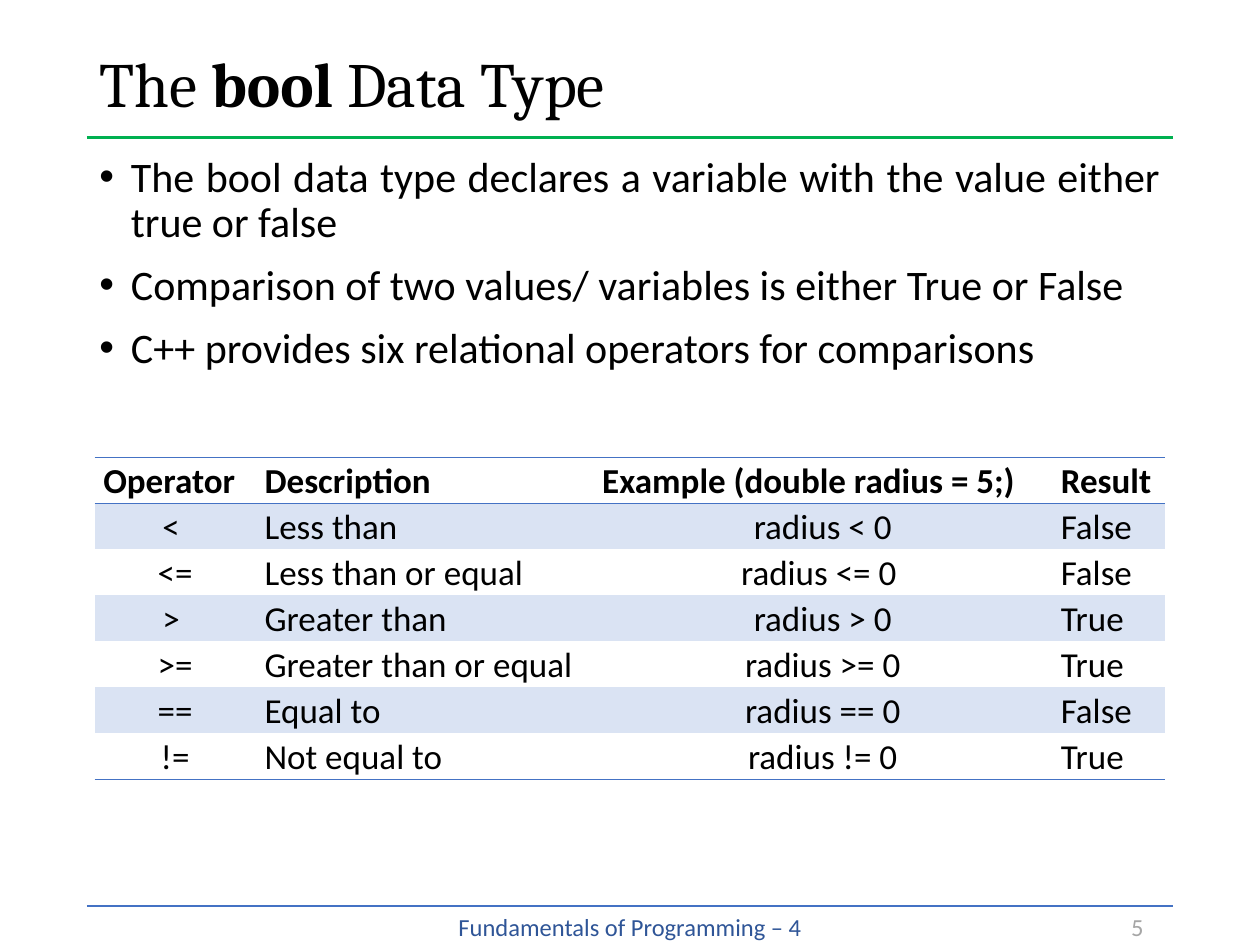
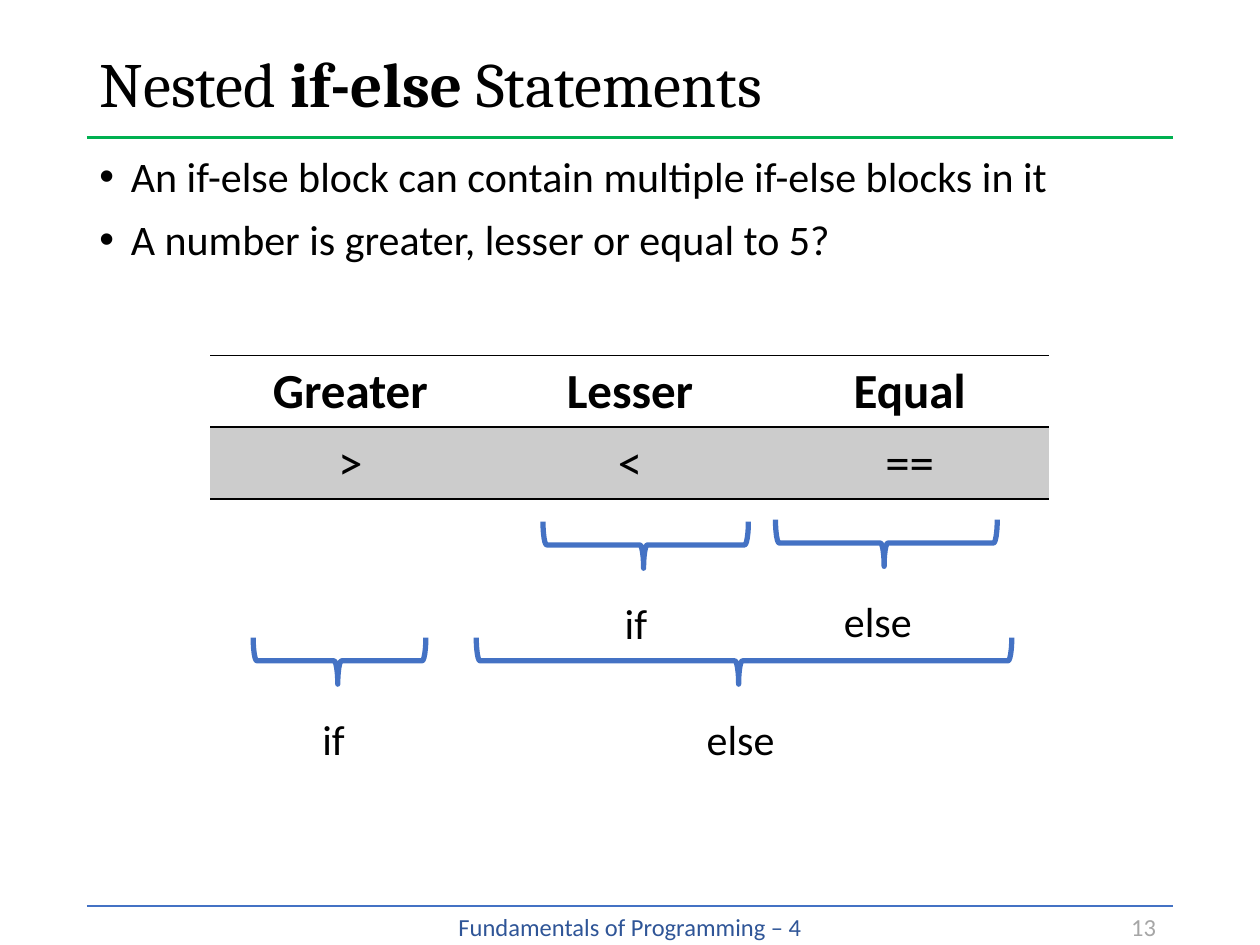
from lxml import etree
from pptx import Presentation
from pptx.dml.color import RGBColor
from pptx.enum.shapes import MSO_CONNECTOR as Connector, MSO_SHAPE as Shape
from pptx.enum.text import MSO_ANCHOR as Anchor, PP_ALIGN as Align
from pptx.oxml import parse_xml
from pptx.oxml.ns import nsdecls, qn
from pptx.util import Inches, Pt

BLUE, GREEN, BLACK = "4472C4", "00B050", "000000"
PALE_BLUE, PALE_GREY = "DAE3F3", "CCCCCC"
LEFT, RIGHT, WIDTH = 0.69, 9.31, 8.62
FOOTER_TOP = 7.19
NO_STYLE = "{2D5ABB26-0587-4C30-8999-92F81FD0307C}"

TITLE = {"name": "Cambria", "size": Pt(36), "bold": False}
BODY = {"name": "Calibri", "size": Pt(24), "bold": False}
FOOTER = {"name": "Calibri", "size": Pt(14), "bold": False}

color = RGBColor.from_string


def add_run(paragraph, text, formats, hex_color=BLACK, **changes):
    run = paragraph.add_run()
    run.text = text
    for name, value in {**formats, **changes}.items():
        setattr(run.font, name, value)
    run.font.color.rgb = color(hex_color)


def add_text_frame(slide, left, top, width, height, wrap=True):
    box = slide.shapes.add_textbox(Inches(left), Inches(top), Inches(width), Inches(height))
    box.text_frame.word_wrap = wrap
    return box.text_frame


pages = [
    {
        "number": "5",
        "title": ["The ", "bool ", "Data Type"],
        "bullets": [
            "The bool data type declares a variable with the value either true or false",
            "Comparison of two values/ variables is either True or False",
            "C++ provides six relational operators for comparisons",
        ],
        "table": {
            "left": 0.75, "top": 3.63, "columns": [1.28, 2.68, 3.64, 0.9], "row_height": 0.365,
            "size": 20, "spacing": 1.07, "margins": (0.07, 0), "border": BLUE, "band": PALE_BLUE,
            "header_align": [Align.LEFT] * 4,
            "align": [Align.CENTER, Align.LEFT, Align.CENTER, Align.LEFT],
            "rows": [
                ["Operator", "Description", "Example (double radius = 5;)", "Result"],
                ["< ", "Less than", "radius < 0", "False"],
                ["<=", "Less than or equal", "radius <= 0 ", "False"],
                ["> ", "Greater than", "radius > 0", "True"],
                [">=", "Greater than or equal", "radius >= 0", "True"],
                ["==", "Equal to", "radius == 0", "False"],
                ["!=", "Not equal to", "radius != 0", "True"],
            ],
        },
        "braces": [],
    },
    {
        "number": "13",
        "title": ["Nested ", "if-else ", "Statements"],
        "bullets": [
            "An if-else block can contain multiple if-else blocks in it",
            "A number is greater, lesser or equal to 5?",
        ],
        "table": {
            "left": 1.67, "top": 2.82, "columns": [2.22] * 3, "row_height": 0.57,
            "size": 28, "spacing": 1.0, "margins": (0.1, 0.05), "border": BLACK, "band": PALE_GREY,
            "header_align": [Align.CENTER] * 3,
            "align": [Align.CENTER] * 3,
            "rows": [["Greater", "Lesser", "Equal"], [">", "<", "=="]],
        },
        "braces": [
            (2.51, 4.56, 1.37, "if", 2.46, 5.61, 0.38),
            (5.72, 3.12, 4.25, "else", 5.51, 5.61, 0.75),
            (4.94, 3.51, 1.63, "if", 4.86, 4.69, 0.45),
            (6.85, 3.43, 1.76, "else", 6.6, 4.68, 0.96),
        ],
    },
]

presentation = Presentation()
presentation.slide_width, presentation.slide_height = Inches(10), Inches(7.5)

for page in pages:
    slide = presentation.slides.add_slide(presentation.slide_layouts[5])

    footer = add_text_frame(slide, LEFT, FOOTER_TOP, WIDTH, 0.31).paragraphs[0]
    footer.alignment = Align.CENTER
    add_run(footer, "Fundamentals of Programming – 4", FOOTER, "2F5597")
    number = add_text_frame(slide, 8.88, FOOTER_TOP, 0.43, 0.31, wrap=False).paragraphs[0]
    add_run(number, page["number"], FOOTER, "A6A6A6")

    for y, line_color, weight in [(FOOTER_TOP, BLUE, 1), (1.09, GREEN, 2)]:
        rule = slide.shapes.add_connector(
            Connector.STRAIGHT, Inches(LEFT), Inches(y), Inches(RIGHT), Inches(y))
        rule.line.color.rgb = color(line_color)
        rule.line.width = Pt(weight)
        etree.SubElement(rule._element.spPr, qn("a:effectLst"))

    title = slide.shapes.title
    title.left, title.top = Inches(LEFT), Inches(0.29)
    title.width, title.height = Inches(WIDTH), Inches(0.8)
    title.text_frame.vertical_anchor = Anchor.MIDDLE
    heading = title.text_frame.paragraphs[0]
    heading.alignment = Align.LEFT
    heading.line_spacing = 0.9
    for index, part in enumerate(page["title"]):
        add_run(heading, part, TITLE, bold=index == 1)

    body = add_text_frame(slide, LEFT, 1.19, WIDTH, 5.89)
    for index, bullet in enumerate(page["bullets"]):
        paragraph = body.add_paragraph() if index else body.paragraphs[0]
        paragraph.alignment = Align.JUSTIFY
        paragraph.line_spacing = 0.9
        paragraph.space_before = Pt(10)
        properties = paragraph._p.get_or_add_pPr()
        properties.set("marL", str(Inches(0.25)))
        properties.set("indent", str(Inches(-0.25)))
        etree.SubElement(properties, qn("a:buFont"), typeface="Arial")
        etree.SubElement(properties, qn("a:buChar"), char="•")
        add_run(paragraph, bullet, BODY)

    grid = page["table"]
    rows, columns = grid["rows"], grid["columns"]
    table = slide.shapes.add_table(
        len(rows), len(columns), Inches(grid["left"]), Inches(grid["top"]),
        Inches(sum(columns)), Inches(grid["row_height"] * len(rows))).table
    table._tbl.tblPr.find(qn("a:tableStyleId")).text = NO_STYLE
    for column, width in zip(table.columns, columns):
        column.width = Inches(width)
    for row_index, texts in enumerate(rows):
        table.rows[row_index].height = Inches(grid["row_height"])
        is_header = row_index == 0
        sides = ["lnT", "lnB"] if is_header else ["lnB"] if row_index == len(rows) - 1 else []
        aligns = grid["header_align"] if is_header else grid["align"]
        for column_index, text in enumerate(texts):
            cell = table.cell(row_index, column_index)
            cell.margin_left = cell.margin_right = Inches(grid["margins"][0])
            cell.margin_top = cell.margin_bottom = Inches(grid["margins"][1])
            paragraph = cell.text_frame.paragraphs[0]
            paragraph.alignment = aligns[column_index]
            paragraph.line_spacing = grid["spacing"]
            add_run(paragraph, text, BODY, size=Pt(grid["size"]), bold=is_header)
            if row_index % 2:
                cell.fill.solid()
                cell.fill.fore_color.rgb = color(grid["band"])
            else:
                cell.fill.background()
            for position, side in enumerate(sides):
                cell._tc.get_or_add_tcPr().insert(position, parse_xml(
                    f'<a:{side} {nsdecls("a")} w="{Pt(1)}"><a:solidFill>'
                    f'<a:srgbClr val="{grid["border"]}"/></a:solidFill></a:{side}>'))

    for left, top, length, label, label_left, label_top, label_width in page["braces"]:
        brace = slide.shapes.add_shape(
            Shape.LEFT_BRACE, Inches(left), Inches(top), Inches(0.37), Inches(length))
        brace.rotation = 270
        brace.adjustments[0], brace.adjustments[1] = 0.08, 0.49
        brace.shadow.inherit = False
        brace.fill.background()
        brace.line.color.rgb = color(BLUE)
        brace.line.width = Pt(3)
        caption = add_text_frame(slide, label_left, label_top, label_width, 0.5, wrap=False)
        add_run(caption.paragraphs[0], label, BODY)

presentation.save("out.pptx")
